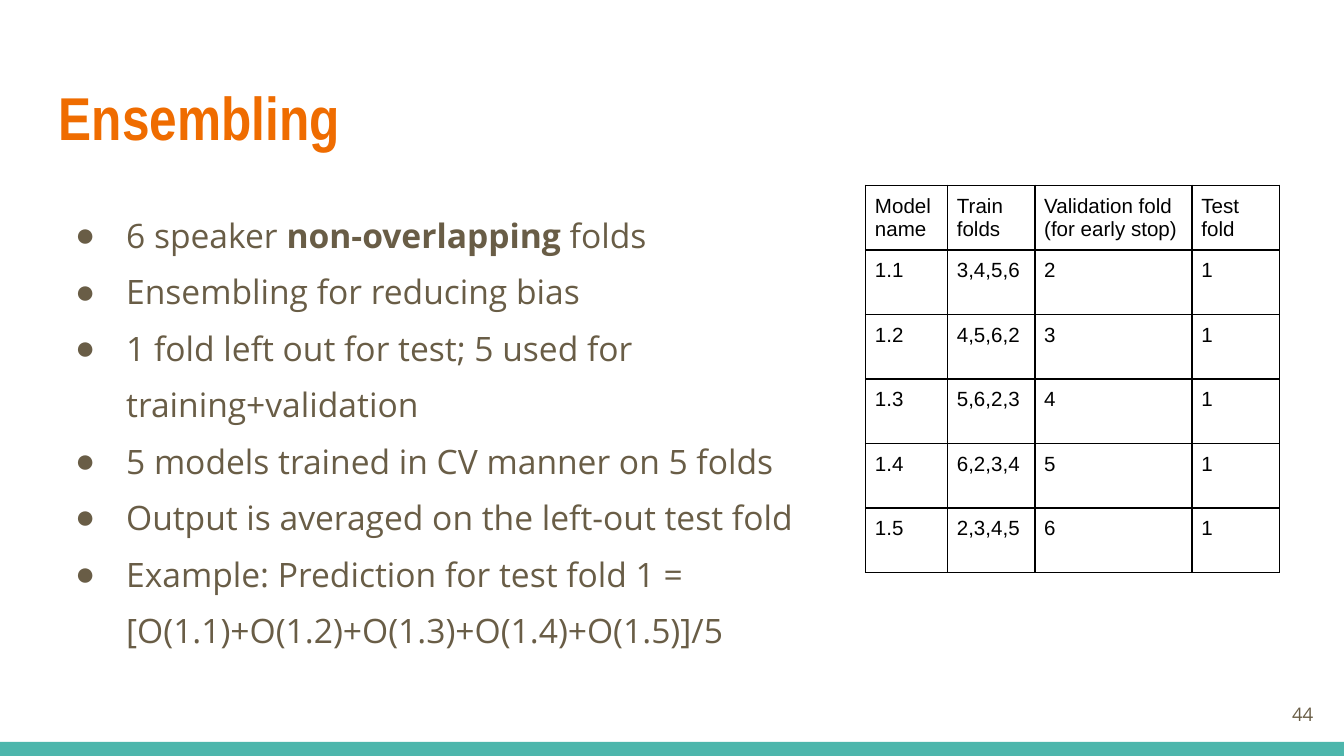
from lxml import etree
from pptx import Presentation, util as u
from pptx.dml.color import RGBColor
from pptx.enum import shapes, text
from pptx.oxml.ns import qn

PX = 9144  # 100 px to the inch
SANS = "Open Sans"
BROWN = "695D46"


def px(n):
    return u.Emu(n * PX)


def paint(color, code):
    color.rgb = RGBColor.from_string(code)


def style(item, color=None, **form):
    for key, val in form.items():
        setattr(item, key, val)
    if color:
        paint(item.color, color)


def write(par, parts, form):
    """Add runs; every second part is bold."""
    for i, part in enumerate(parts):
        run = par.add_run()
        run.text = part
        style(run.font, **form)
        if i % 2:
            run.font.bold = True


def frame(slide, box, pad=10, anchor=text.MSO_ANCHOR.TOP):
    tf = slide.shapes.add_textbox(*map(px, box)).text_frame
    style(tf, word_wrap=True, vertical_anchor=anchor)
    for side in ("left", "right", "top", "bottom"):
        setattr(tf, "margin_" + side, px(pad))
    return tf


def bullet(par, code):
    props = par._p.get_or_add_pPr()
    props.set("marL", str(px(50)))
    props.set("indent", str(px(-38)))
    color = etree.SubElement(props, qn("a:buClr"))
    etree.SubElement(color, qn("a:srgbClr"), val=code)
    etree.SubElement(props, qn("a:buFont"), typeface="Arial")
    etree.SubElement(props, qn("a:buChar"), char="●")


def border(cell, code):
    props = cell._tc.get_or_add_tcPr()
    for i, side in enumerate(("lnL", "lnR", "lnT", "lnB")):
        line = etree.Element(qn("a:" + side), w=str(u.Pt(1)))
        fill = etree.SubElement(line, qn("a:solidFill"))
        etree.SubElement(fill, qn("a:srgbClr"), val=code)
        props.insert(i, line)


def band(slide, box, code):
    bar = slide.shapes.add_shape(shapes.MSO_SHAPE.RECTANGLE, *map(px, box))
    bar.shadow.inherit = False
    bar.fill.solid()
    paint(bar.fill.fore_color, code)
    bar.line.fill.background()


def title(slide, box, words):
    tf = frame(slide, box, anchor=text.MSO_ANCHOR.MIDDLE)
    write(tf.paragraphs[0], [words],
          dict(name="Arial Narrow", size=u.Pt(32.4), bold=True, color="EF6C00"))


def points(slide, box, items):
    tf = frame(slide, box)
    for i, parts in enumerate(items):
        par = tf.add_paragraph() if i else tf.paragraphs[0]
        par.line_spacing = 1.4
        bullet(par, BROWN)
        write(par, parts, dict(name=SANS, size=u.Pt(18), color=BROWN))


def grid(slide, box, cols, rows):
    table = slide.shapes.add_table(len(rows), len(cols), *map(px, box)).table
    style(table, first_row=False, horz_banding=False)
    pads = dict(margin_left=px(7), margin_right=px(7),
                margin_top=px(7), margin_bottom=px(4))
    for col, width in zip(table.columns, cols):
        col.width = px(width)
    for row, vals in zip(table.rows, rows):
        row.height = px(box[3] // len(rows))
        for cell, val in zip(row.cells, vals):
            style(cell, **pads)
            cell.fill.background()
            border(cell, "000000")
            tf = cell.text_frame
            for i, line in enumerate(val.split("\n")):
                par = tf.add_paragraph() if i else tf.paragraphs[0]
                write(par, [line],
                      dict(name="Arial", size=u.Pt(11), color="000000"))


def number(slide, box, words):
    tf = frame(slide, box, anchor=text.MSO_ANCHOR.MIDDLE)
    tf.paragraphs[0].alignment = text.PP_ALIGN.RIGHT
    write(tf.paragraphs[0], [words],
          dict(name=SANS, size=u.Pt(10), color=BROWN))


def main():
    deck = Presentation()
    wide = px(1000)
    style(deck, slide_width=wide, slide_height=wide * 9 // 16)
    slide = deck.slides.add_slide(deck.slide_layouts[6])

    # Footer band and title
    band(slide, (0, 552, 1000, 11), "4DB6AC")
    title(slide, (34, 48, 932, 77), "Ensembling")

    # Method
    points(slide, (34, 138, 572, 361), [
        ["6 speaker ", "non-overlapping", " folds"],
        ["Ensembling for reducing bias"],
        ["1 fold left out for test; 5 used for training+validation"],
        ["5 models trained in CV manner on 5 folds"],
        ["Output is averaged on the left-out test fold"],
        ["Example: Prediction for test fold 1 = "
         "[O(1.1)+O(1.2)+O(1.3)+O(1.4)+O(1.5)]/5"],
    ])

    # Folds: each model validates on one and trains on the rest, in turn
    folds = list("23456")
    rows = [["Model\nname", "Train\nfolds",
             "Validation fold\n(for early stop)", "Test\nfold"]]
    for i, fold in enumerate(folds):
        train = ",".join(folds[i + 1:] + folds[:i])
        rows.append([f"1.{i + 1}", train, fold, "1"])
    grid(slide, (644, 138, 308, 288), (61, 65, 117, 65), rows)

    # Page number
    number(slide, (927, 510, 60, 43), "44")
    deck.save("out.pptx")


if __name__ == "__main__":
    main()
